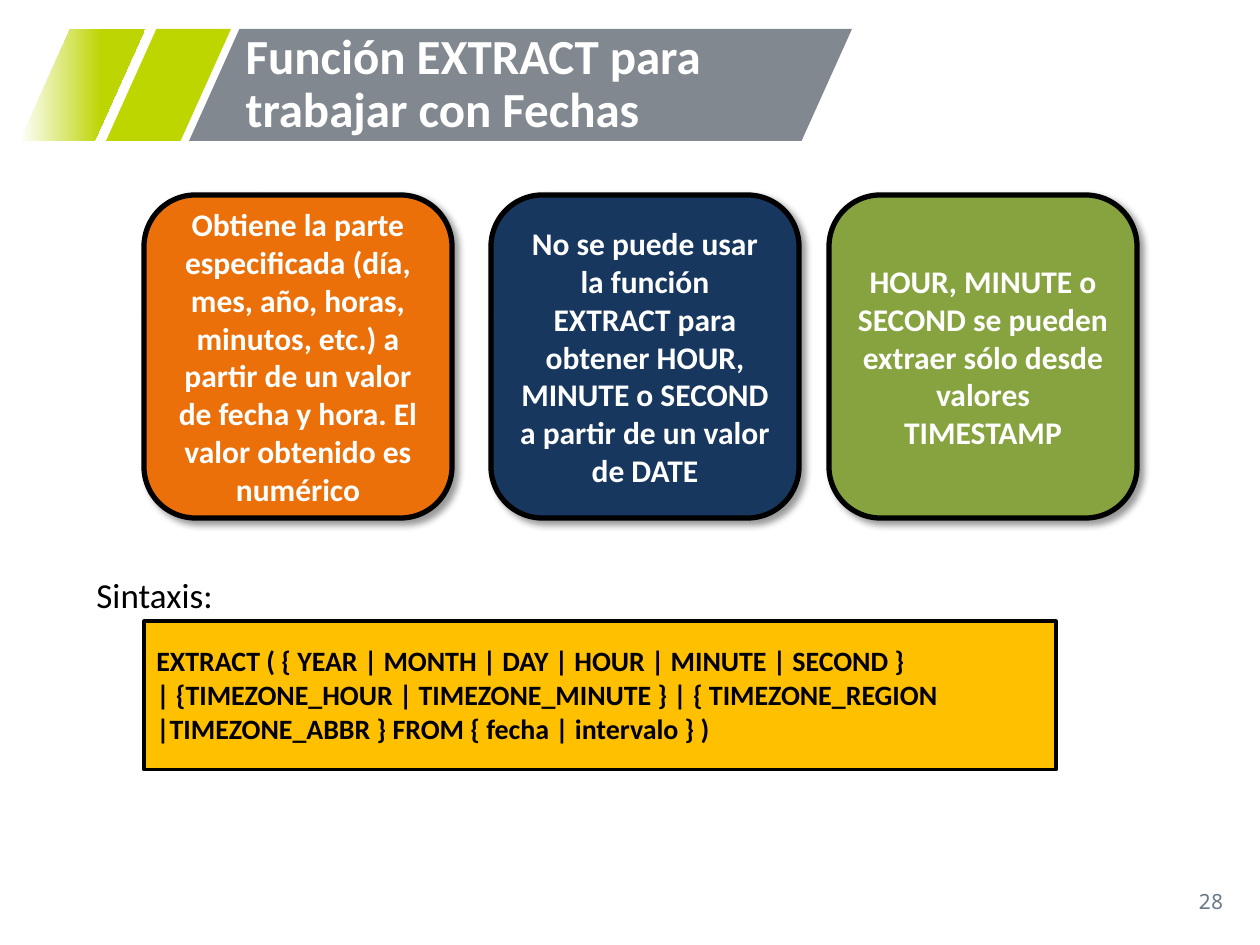
from lxml.etree import SubElement
from pptx import Presentation
from pptx.dml.color import RGBColor
from pptx.enum.shapes import MSO_SHAPE as Shape
from pptx.enum.text import MSO_ANCHOR as Anchor, MSO_AUTO_SIZE as AutoSize, PP_ALIGN as Align
from pptx.oxml.ns import qn
from pptx.util import Emu, Pt

COLORS = {
    "white": "FFFFFF", "black": "000000", "lime": "BED600", "fade": "BDD503",
    "gray": "81888F", "number": "6C7A8A", "orange": "EC700A", "navy": "17375E",
    "green": "86A33F", "amber": "FFC000",
}
CARDS = [
    (144, "orange", "Obtiene la parte especificada (día, mes, año, horas, minutos, etc.) "
                    "a partir de un valor de fecha y hora. El valor obtenido es numérico"),
    (491, "navy", "No se puede usar la función EXTRACT para obtener HOUR, MINUTE o SECOND "
                  "a partir de un valor de DATE"),
    (829, "green", "HOUR, MINUTE o SECOND se pueden extraer sólo desde valores TIMESTAMP"),
]
SYNTAX = [
    "EXTRACT ( { YEAR | MONTH | DAY | HOUR | MINUTE | SECOND }",
    "| {TIMEZONE_HOUR | TIMEZONE_MINUTE } | { TIMEZONE_REGION",
    "|TIMEZONE_ABBR } FROM { fecha | intervalo } )",
]


def px(length):
    return Emu(round(length * 914400 / 126))


def rgb(name):
    return RGBColor.from_string(COLORS[name])


class SlideBuilder:
    """Holds the text style and the current slide, and draws each kind of element."""

    def __init__(self, presentation, font="Calibri"):
        self.slide = presentation.slides.add_slide(presentation.slide_layouts[5])
        self.font = font

    def set_text(self, shape, lines, size, color, align=Align.LEFT, bold=True,
                 anchor=Anchor.MIDDLE, font=None):
        frame = shape.text_frame
        frame.word_wrap = True
        frame.auto_size = AutoSize.NONE
        frame.vertical_anchor = anchor
        frame.text = "\n".join(lines)
        for paragraph in frame.paragraphs:
            paragraph.alignment = align
            paragraph.font.name = font or self.font
            paragraph.font.size = Pt(size)
            paragraph.font.bold = bold
            paragraph.font.color.rgb = rgb(color)
        return frame

    def box(self, kind, left, top, width, height, fill, line=None):
        shape = self.slide.shapes.add_shape(kind, px(left), px(top), px(width), px(height))
        shape.shadow.inherit = False
        shape.fill.solid()
        shape.fill.fore_color.rgb = rgb(fill)
        if line:
            shape.line.color.rgb = rgb("black")
            shape.line.width = Pt(line)
        else:
            shape.line.fill.background()
        return shape

    def band(self, left, width, fill):
        shape = self.box(Shape.PARALLELOGRAM, left, 29, width, 112, fill)
        shape.adjustments[0] = 0.45
        return shape

    def fading_band(self, left, width, fill):
        shape = self.band(left, width, fill)
        shape.fill.gradient()
        shape.fill.gradient_angle = 0
        for stop, color, position in zip(shape.fill.gradient_stops, ("white", fill), (0, 0.65)):
            stop.color.rgb = rgb(color)
            stop.position = position

    def title(self, text, left, top, width, height):
        title = self.slide.shapes.title
        title.left, title.top, title.width, title.height = map(px, (left, top, width, height))
        frame = self.set_text(title, [text], 28, "white")
        frame.paragraphs[0].line_spacing = 0.9
        self.slide.shapes.element.append(title.element)

    def card(self, left, fill, text):
        shape = self.box(Shape.ROUNDED_RECTANGLE, left, 195, 308, 323, fill, 3)
        effects = shape.element.spPr.find(qn("a:effectLst"))
        shadow = SubElement(effects, qn("a:outerShdw"), blurRad=str(Pt(4)), dist=str(Pt(3)),
                            dir="2700000", algn="tl", rotWithShape="0")
        color = SubElement(shadow, qn("a:srgbClr"), val=COLORS["black"])
        SubElement(color, qn("a:alpha"), val="40000")
        self.set_text(shape, [text], 18, "white", Align.CENTER)

    def syntax(self, lines, left, top, width, height):
        shape = self.box(Shape.RECTANGLE, left, top, width, height, "amber", 1.75)
        frame = self.set_text(shape, lines, 16, "black", anchor=Anchor.TOP)
        frame.margin_top = px(23)

    def text(self, text, left, top, width, height, size, color, align=Align.LEFT,
             font=None, bullet=False):
        box = self.slide.shapes.add_textbox(px(left), px(top), px(width), px(height))
        if bullet:
            properties = box.text_frame.paragraphs[0]._p.get_or_add_pPr()
            properties.set("marL", str(px(48)))
            properties.set("indent", str(px(-48)))
            SubElement(properties, qn("a:buFont"), typeface="Arial")
            SubElement(properties, qn("a:buChar"), char="•")
        self.set_text(box, [text], size, color, align, False, font=font)


def main():
    presentation = Presentation()
    presentation.slide_width, presentation.slide_height = px(1260), px(945)
    builder = SlideBuilder(presentation)
    builder.band(106, 125, "lime")
    builder.fading_band(20, 125, "fade")
    builder.band(189, 663, "gray")
    builder.text("28", 953, 876, 283, 50, 12, "number", Align.RIGHT, "Noto Sans Mono")
    builder.title("Función EXTRACT para trabajar con Fechas", 233, 29, 591, 112)
    builder.text("Sintaxis:", 84, 567, 1142, 55, 20, "black", bullet=True)
    for left, fill, text in CARDS:
        builder.card(left, fill, text)
    builder.syntax(SYNTAX, 144, 621, 912, 149)
    presentation.save("out.pptx")


if __name__ == "__main__":
    main()
